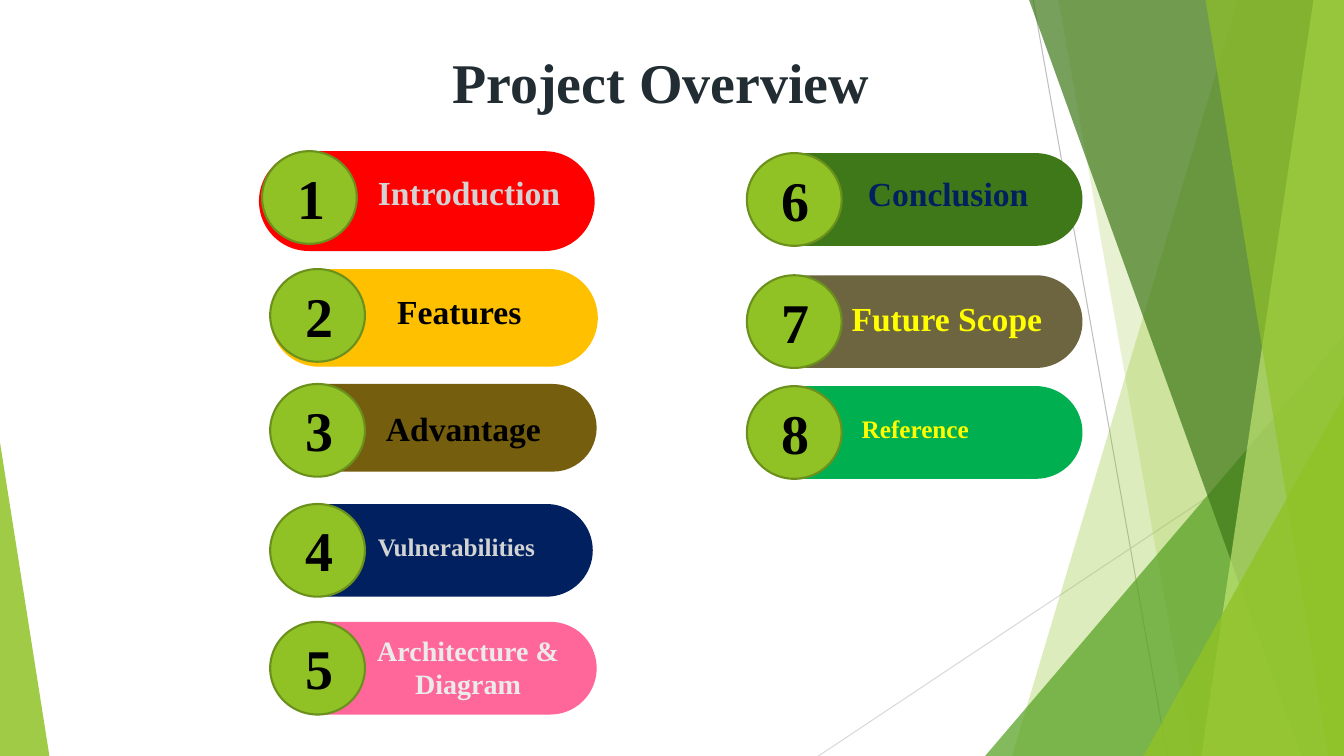
from lxml import etree
from pptx import Presentation
from pptx.dml.color import RGBColor
from pptx.enum import shapes, text
from pptx.oxml import ns
from pptx.util import Pt

WHITE = RGBColor(0xFF, 0xFF, 0xFF)
BLACK = RGBColor(0, 0, 0)
INK = RGBColor(0x21, 0x2D, 0x32)
SILVER = RGBColor(0xD3, 0xD3, 0xD3)
PALE = RGBColor(0xEB, 0xEB, 0xEB)
GREY = RGBColor(0xBF, 0xBF, 0xBF)
LIGHT_GREY = RGBColor(0xD9, 0xD9, 0xD9)
LIME = RGBColor(0x90, 0xC2, 0x26)
LIME_EDGE = RGBColor(0x6B, 0x90, 0x1C)
LIGHT_LIME = RGBColor(0xC0, 0xE4, 0x74)
LEAF = RGBColor(0x54, 0xA0, 0x21)
FOREST = RGBColor(0x3F, 0x78, 0x19)
RED = RGBColor(0xFF, 0, 0)
AMBER = RGBColor(0xFF, 0xC0, 0)
BROWN = RGBColor(0x75, 0x5E, 0x0D)
NAVY = RGBColor(0, 0x20, 0x60)
PINK = RGBColor(0xFF, 0x66, 0x99)
OLIVE = RGBColor(0x6D, 0x65, 0x40)
GREEN = RGBColor(0, 0xB0, 0x50)
YELLOW = RGBColor(0xFF, 0xFF, 0)

FONT = "Times New Roman"
WIDTH, HEIGHT = 960, 540
BADGE_WIDTH, BADGE_HEIGHT = 67.7, 66.2
LEFT, CENTER = text.PP_ALIGN.LEFT, text.PP_ALIGN.CENTER

LINES = [
    ((738, 0), (833.8, HEIGHT), GREY),
    ((WIDTH, 290.2), (584.6, HEIGHT), LIGHT_GREY),
]

# top edge x, bottom edge x, colour, opacity
BANDS_BEHIND = [(884.2, 722.9, LIME, 30), (756, 851.8, LIME, 20)]
BANDS_FRONT = [
    (735.1, 929.5, FOREST, 70),
    (938.2, 858.2, LIGHT_LIME, 70),
    (861.1, 949, LIME, 65),
]

# badge left and top; bar offset, width, height, colour;
# label offset x and y, width, alignment, lines, size, colour
ENTRIES = [
    ((187.2, 108), (-2.2, 239.8, 71.3, RED),
     (75.6, 11.5, 160, LEFT, ["Introduction"], 24, SILVER)),
    ((193, 192.2), (0, 234, 69.8, AMBER),
     (39.6, 12.3, 191, CENTER, ["Features"], 24, BLACK)),
    ((193, 274.3), (1.4, 231.8, 62.6, BROWN),
     (75.5, 13.7, 168, LEFT, ["Advantage"], 24, BLACK)),
    ((193, 360), (1.4, 229, 66.2, NAVY),
     (69.8, 15.8, 199, LEFT, ["Vulnerabilities"], 18, SILVER)),
    ((193, 444.2), (1.4, 231.8, 66.2, PINK),
     (66.4, 4.4, 150, CENTER, ["Architecture &", "Diagram"], 20, PALE)),
    ((533.5, 109.4), (1.4, 238.3, 66.2, FOREST),
     (79.3, 10.8, 150, LEFT, ["Conclusion"], 24, NAVY)),
    ((533.5, 196.6), (1.4, 238.3, 66.2, OLIVE),
     (67.7, 12.9, 160, LEFT, ["Future Scope"], 24, YELLOW)),
    ((533.5, 275.8), (1.4, 238.3, 66.2, GREEN),
     (74.9, 15.8, 156, LEFT, ["Reference"], 18, YELLOW)),
]


def apply_format(target, values):
    for name, value in values.items():
        setattr(target, name, value)


def paint(shape, color, opacity=100, edge=None):
    shape.shadow.inherit = False
    shape.fill.solid()
    shape.fill.fore_color.rgb = color
    if opacity < 100:
        tint = shape.fill._xPr.find(".//" + ns.qn("a:srgbClr"))
        etree.SubElement(tint, ns.qn("a:alpha")).set("val", str(opacity * 1000))
    if edge is None:
        shape.line.fill.background()
    else:
        shape.line.color.rgb = edge
        shape.line.width = Pt(1.5)


def add_preset(slide, kind, box, color, opacity=100, edge=None, adjust=None):
    shape = slide.shapes.add_shape(kind, *map(Pt, box))
    if adjust is not None:
        shape.adjustments[0] = adjust
    paint(shape, color, opacity, edge)


def add_words(slide, box, lines, size, color, align):
    frame = slide.shapes.add_textbox(*map(Pt, box)).text_frame
    frame.word_wrap = True
    for index, line in enumerate(lines):
        para = frame.paragraphs[0] if index == 0 else frame.add_paragraph()
        para.alignment = align
        span = para.add_run()
        span.text = line
        apply_format(span.font, {"name": FONT, "size": Pt(size), "bold": True})
        span.font.color.rgb = color


def add_bands(slide, box, bands):
    left, top, width, height = box
    right, bottom = left + width, top + height
    for upper, lower, color, opacity in bands:
        corners = [(right, top), (right, bottom), (lower, bottom)]
        outline = slide.shapes.build_freeform(Pt(upper), Pt(top), scale=1.0)
        outline.add_line_segments([(Pt(x), Pt(y)) for x, y in corners], close=True)
        paint(outline.convert_to_shape(), color, opacity)


def add_corner(slide, box, width, height, color, opacity, on_right):
    left, top, full_width, full_height = box
    x = left + full_width - width if on_right else left
    add_preset(slide, shapes.MSO_SHAPE.ISOSCELES_TRIANGLE,
               (x, top + full_height - height, width, height),
               color, opacity, adjust=int(on_right))


def add_backdrop(slide, box):
    for start, end, color in LINES:
        line = slide.shapes.add_connector(
            shapes.MSO_CONNECTOR.STRAIGHT, *map(Pt, start + end))
        line.line.color.rgb = color
        line.line.width = Pt(0.75)
        etree.SubElement(line._element.spPr, ns.qn("a:effectLst"))
    add_bands(slide, box, BANDS_BEHIND)
    add_corner(slide, box, 256.3, 300.2, LEAF, 72, True)
    add_bands(slide, box, BANDS_FRONT)
    add_corner(slide, box, 143.3, 257, LIME, 80, True)
    add_corner(slide, box, 35.3, 223.9, LIME, 85, False)


def add_entry(slide, number, place, bar, label):
    left, top = place
    shift, width, height, color = bar
    add_preset(slide, shapes.MSO_SHAPE.ROUNDED_RECTANGLE,
               (left + shift, top, width, height), color, adjust=0.5)
    add_preset(slide, shapes.MSO_SHAPE.FLOWCHART_CONNECTOR,
               (left, top, BADGE_WIDTH, BADGE_HEIGHT), LIME, edge=LIME_EDGE)
    add_words(slide, (left + 15, top + 5, 40, 55.4), [str(number)], 40, BLACK, CENTER)
    dx, dy, label_width, align, lines, size, ink = label
    label_height = 7.2 + len(lines) * size * 1.2
    add_words(slide, (left + dx, top + dy, label_width, label_height),
              lines, size, ink, align)


def add_overview(slide, box):
    left, top, width, height = box
    add_backdrop(slide, box)
    for number, (place, bar, label) in enumerate(ENTRIES, 1):
        x, y = place
        add_entry(slide, number, (left + x, top + y), bar, label)
    add_words(slide, (left + 244.8, top + 30.2, 454.3, 55.4),
              ["Project Overview"], 40, INK, CENTER)


def main():
    deck = Presentation()
    apply_format(deck, {"slide_width": Pt(WIDTH), "slide_height": Pt(HEIGHT)})
    page = deck.slides.add_slide(deck.slide_layouts[6])
    page.background.fill.solid()
    page.background.fill.fore_color.rgb = WHITE
    add_overview(page, (0, 0, WIDTH, HEIGHT))
    deck.save("out.pptx")


if __name__ == "__main__":
    main()
